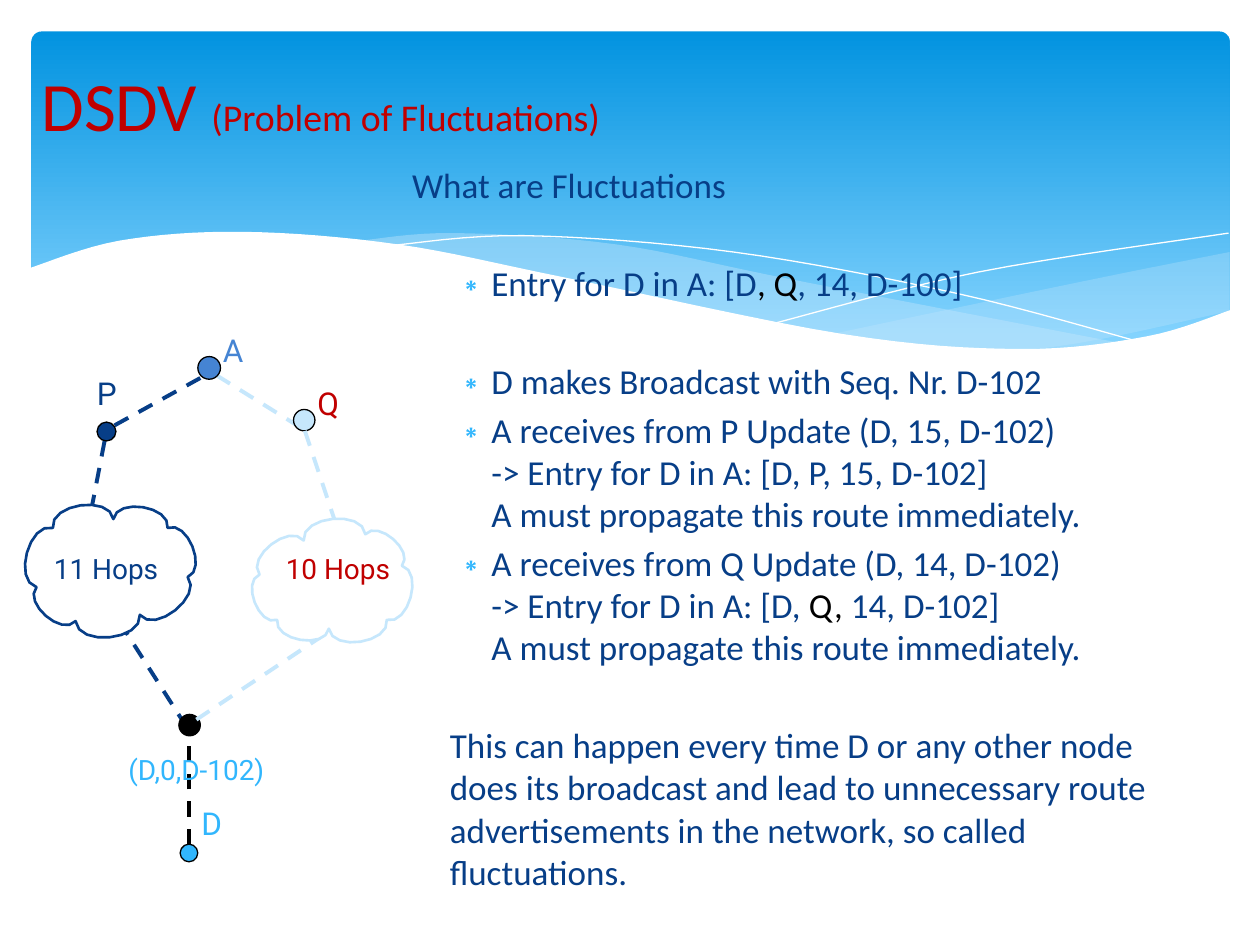
import pptx
import pptx.util
import pptx.dml.color
import pptx.enum.dml
import pptx.enum.shapes
import pptx.enum.text
import pptx.oxml
import pptx.oxml.ns

Inches, Pt = pptx.util.Inches, pptx.util.Pt
SHAPE = pptx.enum.shapes.MSO_SHAPE
AUTO_SIZE = pptx.enum.text.MSO_AUTO_SIZE

COLORS = {"navy": "073E87", "pale": "C6E7FC", "sky": "31B6FD", "blue": "4584D3",
          "red": "C00000", "black": "000000", "white": "FFFFFF",
          "banner top": "0293E0", "banner bottom": "83D3FE"}

# Text: a run is a string, or (string, colour, size)
TITLE = [("DSDV", "red", 39.6), (" ", "red", 36), "(Problem of Fluctuations)"]
BULLET = dict(level=1, margin=0.63, indent=-0.3, bullet="∗")
BODY = [
    (["What are Fluctuations"], {}),
    (["Entry for D in A: [D", (", Q", "black", 20), ", 14, D-100]"], dict(BULLET, before=32)),
    (["D makes Broadcast with Seq. Nr. D-102"], dict(BULLET, before=32)),
    (["A receives from P Update (D, 15, D-102)\n-> Entry for D in A: [D, P, 15, D-102]\n"
      "A must propagate this route immediately."], dict(BULLET, before=4)),
    (["A receives from Q Update (D, 14, D-102)\n-> Entry for D in A: [D, ", ("Q,", "black", 20),
      " 14, D-102]\nA must propagate this route immediately."], dict(BULLET, before=4)),
    (["This can happen every time D or any other node does its broadcast and lead to "
      "unnecessary route advertisements in the network, so called fluctuations."],
     dict(before=32, margin=0.3)),
]

# Banner waves: edges through which smooth curves run, opacity in percent
WAVES = [
    ([[(9.76, 2), (8.61, 2.23), (6.61, 2.65)],
      [(6.61, 2.65), (8.1, 2.78), (9.76, 2.47)]], "pale", 29),
    ([[(8.93, 2.73), (6.29, 2.22), (4.89, 1.94), (3.61, 1.85), (2.86, 1.91)],
      [(2.86, 1.91), (4.49, 2.22), (6.8, 2.68), (8.07, 2.78), (8.93, 2.73)]], "pale", 40),
]
HAIRLINES = [
    [(3.09, 1.95), (4.16, 1.87), (5.82, 2), (7.6, 2.33), (9.07, 2.72)],
    [(6.13, 2.57), (7.76, 2.16), (9.75, 1.85)],
]
WHITE_CREST = [(9.77, 2.46), (9.1, 2.67), (8.09, 2.77), (6.68, 2.65), (4.47, 2.2),
               (3.16, 1.94), (1.93, 1.84), (0.95, 1.91), (0.23, 2.13)]
WHITE_BASE = [(0.23, 3.29), (9.77, 3.29)]

# Network: links (from, to, colour), nodes (left, top, diameter, colour)
BACK_LINKS = [((0.83, 4.75), (1.5, 5.8), "navy"), ((0.83, 3.5), (0.67, 4.33), "navy"),
              ((2.38, 3.39), (1.64, 2.93), "pale"), ((1.59, 3), (0.83, 3.42), "navy")]
FRONT_LINKS = [((2.75, 4.92), (1.5, 5.75), "pale"), ((1.5, 6.7), (1.5, 5.83), "black"),
               ((2.42, 3.42), (2.67, 4.17), "pale")]
NODES = [(2.33, 3.25, 0.17, "pale"), (0.77, 3.35, 0.15, "navy"), (1.42, 5.67, 0.17, "black"),
         (1.57, 2.83, 0.18, "blue"), (1.43, 6.7, 0.14, "sky")]
LABELS = [("A", 1.67, 2.58, 0.4, 0.5, 18, "blue"), ("D", 1.5, 6.33, 1.83, 0.5, 18, "sky"),
          ("Q", 2.42, 3, 0.45, 0.4, 18, "red"), ("P", 0.67, 2.92, 0.33, 0.5, 18, "navy"),
          ("10 Hops", 2.17, 4.33, 1.17, 0.37, 16, "red"),
          ("11 Hops", 0.33, 4.33, 1.17, 0.37, 16, "navy"),
          ("(D,0,D-102)", 0.92, 5.92, 1.6, 0.77, 16, "sky")]
# Clouds: the notches between the puffs, clockwise
CLOUDS = [
    ("navy", [(0.42, 4.19), (0.9, 4.12), (1.33, 4.19), (1.49, 4.58), (1.11, 4.88),
              (0.6, 4.93), (0.29, 4.66)]),
    ("pale", [(3.07, 4.92), (2.61, 4.99), (2.2, 4.92), (2.06, 4.56), (2.41, 4.29),
              (2.9, 4.24), (3.19, 4.49)]),
]


def rgb(name):
    return pptx.dml.color.RGBColor.from_string(COLORS[name])


def add_xml(parent, tag, **attributes):
    child = parent.makeelement(pptx.oxml.ns.qn(tag), attributes)
    parent.append(child)
    return child


def write(paragraph, runs, size=20, color="navy", font="Calibri", before=0, level=0,
          margin=0, indent=0, bullet=None):
    paragraph.alignment = pptx.enum.text.PP_ALIGN.LEFT
    paragraph.level = level
    paragraph.space_before = Pt(before)
    properties = paragraph._p.get_or_add_pPr()
    properties.set("marL", str(Inches(margin)))
    properties.set("indent", str(Inches(indent)))
    if bullet:
        add_xml(add_xml(properties, "a:buClr"), "a:srgbClr", val=COLORS["sky"])
        add_xml(properties, "a:buChar", char=bullet)
    else:
        add_xml(properties, "a:buNone")
    for item in runs:
        words, tint, points = (item, color, size) if isinstance(item, str) else item
        for number, line in enumerate(words.split("\n")):
            if number:
                paragraph.add_line_break()
            run = paragraph.add_run()
            run.text = line
            run.font.name, run.font.size = font, Pt(points)
            run.font.color.rgb = rgb(tint)


def sample_bezier(points, steps=8):
    curve = [points[0]]
    for i in range(0, len(points) - 1, 3):
        for t in (step / steps for step in range(1, steps + 1)):
            weights = ((1 - t) ** 3, 3 * t * (1 - t) ** 2, 3 * t * t * (1 - t), t ** 3)
            curve.append(tuple(sum(w * p[axis] for w, p in zip(weights, points[i:i + 4]))
                               for axis in (0, 1)))
    return curve


def smooth(edge):
    """Curve through all points of an edge, with tangents taken from the neighbours."""
    padded = [edge[0], *edge, edge[-1]]
    controls = [edge[0]]
    for a, b, c, d in zip(padded, padded[1:], padded[2:], padded[3:]):
        controls += [tuple(b[k] + (c[k] - a[k]) / 6 for k in (0, 1)),
                     tuple(c[k] - (d[k] - b[k]) / 6 for k in (0, 1)), c]
    return sample_bezier(controls)


def puff(notches, bulge=0.4):
    """Cloud outline: one outward curve from each notch to the next."""
    controls = [notches[0]]
    for (x1, y1), (x2, y2) in zip(notches, notches[1:] + notches[:1]):
        out_x, out_y = bulge * (y2 - y1), bulge * (x1 - x2)
        controls += [(x1 + out_x, y1 + out_y), (x2 + out_x, y2 + out_y), (x2, y2)]
    return sample_bezier(controls)


def paint(shape, fill=None, line=None, width=0.75):
    shape.shadow.inherit = False
    if fill:
        shape.fill.solid()
        shape.fill.fore_color.rgb = rgb(fill)
    else:
        shape.fill.background()
    if line:
        shape.line.color.rgb = rgb(line)
        shape.line.width = Pt(width)
    else:
        shape.line.fill.background()


def add_outline(shapes, points, closed=True, **style):
    corners = [(Inches(x), Inches(y)) for x, y in points]
    builder = shapes.build_freeform(*corners[0], scale=1.0)
    builder.add_line_segments(corners[1:], close=closed)
    shape = builder.convert_to_shape()
    paint(shape, **style)
    return shape


def add_link(shapes, start, end, color):
    link = shapes.add_connector(pptx.enum.shapes.MSO_CONNECTOR.STRAIGHT,
                                *map(Inches, start + end))
    link.line.color.rgb = rgb(color)
    link.line.width = Pt(2.25)
    link.line.dash_style = pptx.enum.dml.MSO_LINE.DASH
    add_xml(link._element.spPr, "a:effectLst")


def main():
    deck = pptx.Presentation()
    deck.slide_width, deck.slide_height = Inches(10), Inches(7.5)
    slide = deck.slides.add_slide(deck.slide_layouts[1])
    shapes = slide.shapes
    title, body = shapes.title, slide.placeholders[1]

    # Banner with waves
    banner = shapes.add_shape(SHAPE.ROUNDED_RECTANGLE, *map(Inches, (0.25, 0.25, 9.51, 2.7)))
    banner.adjustments[0] = 0.03
    paint(banner)
    banner.fill.gradient()
    banner.fill.gradient_angle = 270
    for stop, color, position in zip(banner.fill.gradient_stops,
                                     ("banner top", "banner bottom"), (0, 0.9)):
        stop.color.rgb, stop.position = rgb(color), position
    for edges, color, opacity in WAVES:
        wave = add_outline(shapes, [p for edge in edges for p in smooth(edge)], fill=color)
        tint = wave._element.spPr.find(".//" + pptx.oxml.ns.qn("a:srgbClr"))
        add_xml(tint, "a:alpha", val=str(opacity * 1000))
    for edge in HAIRLINES:
        add_outline(shapes, smooth(edge), closed=False, line="white", width=0)
    add_outline(shapes, smooth(WHITE_CREST) + WHITE_BASE, fill="white")

    # Title and body, in front of the banner
    for holder, box in ((title, (0.23, 0.47, 9.35, 0.7)), (body, (3.17, 1.25, 6.17, 5.92))):
        holder.left, holder.top, holder.width, holder.height = map(Inches, box)
        shapes._spTree.append(holder._element)
        holder.text_frame.word_wrap = True
        holder.text_frame.auto_size = AUTO_SIZE.NONE
    title.text_frame.vertical_anchor = pptx.enum.text.MSO_ANCHOR.MIDDLE
    write(title.text_frame.paragraphs[0], TITLE, size=21.6, color="red")
    frame = body.text_frame
    for number, (runs, style) in enumerate(BODY):
        write(frame.add_paragraph() if number else frame.paragraphs[0], runs, **style)

    # Network diagram
    for link in BACK_LINKS:
        add_link(shapes, *link)
    for left, top, size, color in NODES:
        node = shapes.add_shape(SHAPE.OVAL, *map(Inches, (left, top, size, size)))
        paint(node, fill=color, line="black")
    for link in FRONT_LINKS:
        add_link(shapes, *link)
    for color, notches in CLOUDS:
        add_outline(shapes, puff(notches), fill="white", line=color, width=1.5)
    for words, left, top, width, height, size, color in LABELS:
        label = shapes.add_textbox(*map(Inches, (left, top, width, height)))
        label.text_frame.word_wrap = True
        label.text_frame.auto_size = AUTO_SIZE.SHAPE_TO_FIT_TEXT
        write(label.text_frame.paragraphs[0], [words], size=size, color=color, font="Roboto")

    deck.save("out.pptx")


if __name__ == "__main__":
    main()
